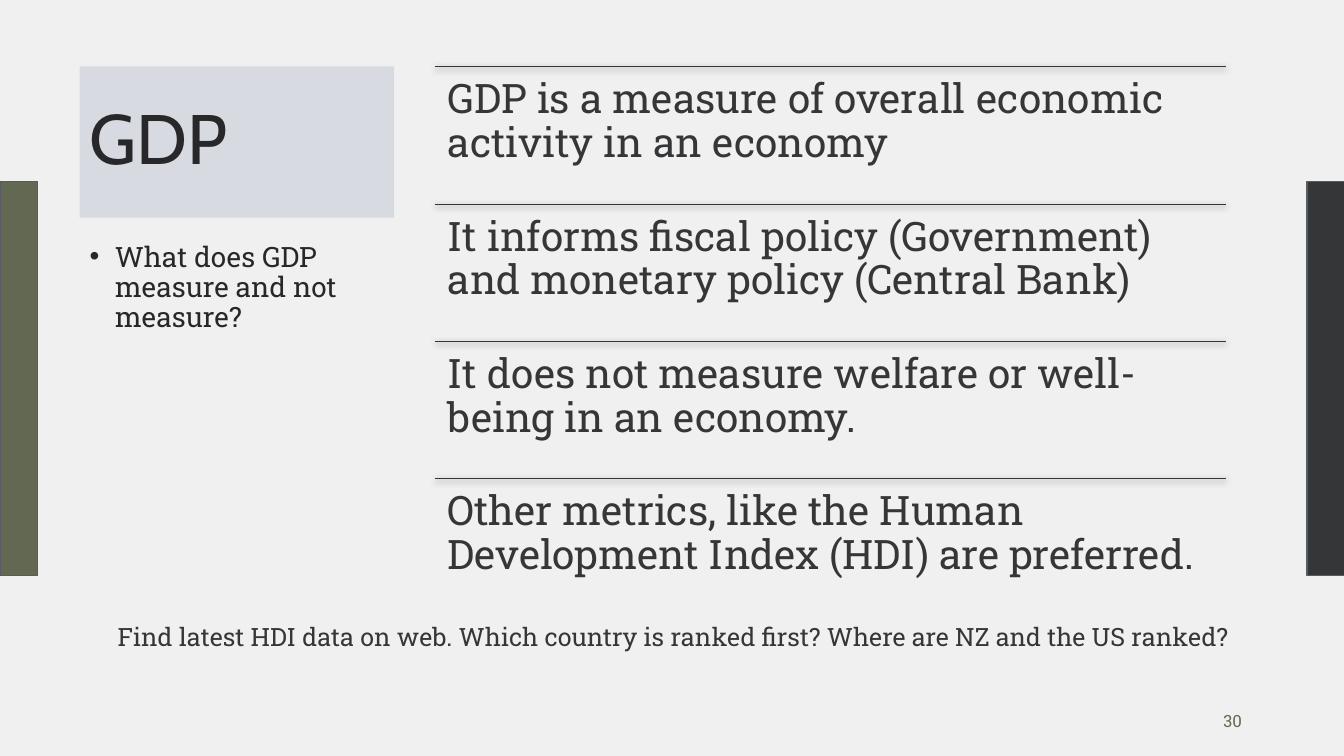
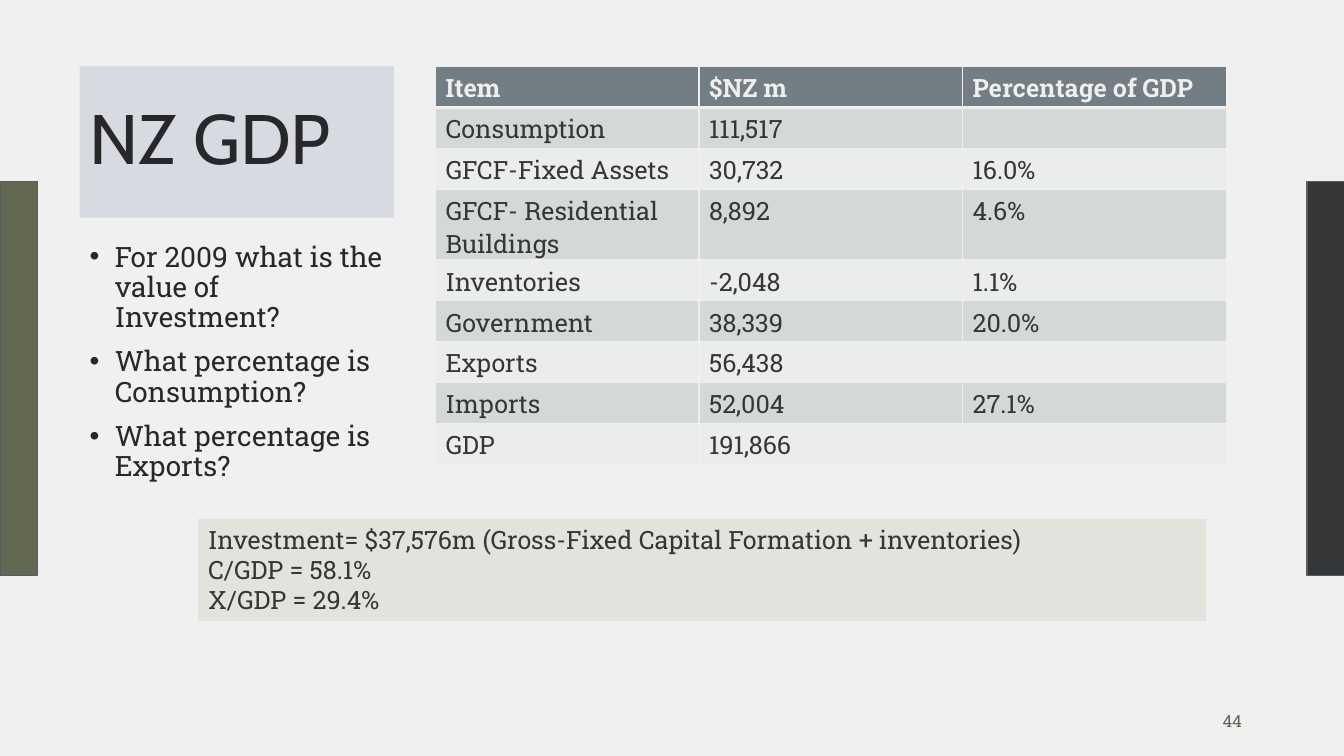
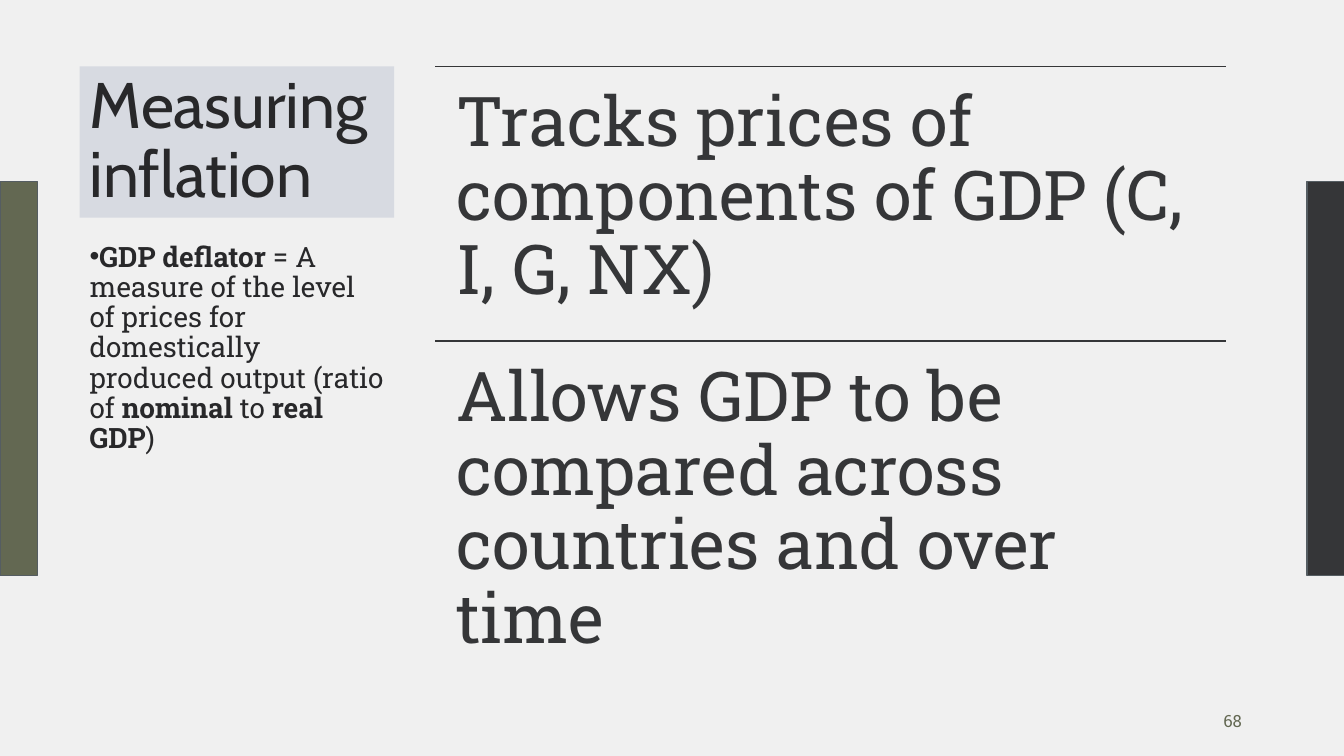
from lxml import etree
from pptx import Presentation
from pptx.dml.color import RGBColor
from pptx.enum import shapes, text
from pptx.oxml import ns
from pptx.util import Pt

SLAB, CABIN = "Roboto Slab", "Cabin"
BACK, INK, TITLE_INK, OLIVE = "F0F0F0", "353638", "28282A", "636852"
TITLE_FILL, BAND_LINE, NOTE_FILL = "D7DAE1", "555D62", "E1E3DC"
HEAD_FILL, ROW_FILLS, GRID = "737E84", ("EBECED", "D5D8D9"), "EFEFEF"
SIDE_X, SIDE_W = 56.88, 224.64
MAIN_X, MAIN_W = 311.04, 564.8
TOP, MAIN_H = 47.52, 392.4

NZ_GDP = [
    ("Item", "$NZ m", "Percentage of GDP"),
    ("Consumption", "111,517", ""),
    ("GFCF-Fixed Assets", "30,732", "16.0%"),
    ("GFCF- Residential Buildings", "8,892", "4.6%"),
    ("Inventories", "-2,048", "1.1%"),
    ("Government", "38,339", "20.0%"),
    ("Exports", "56,438", ""),
    ("Imports", "52,004", "27.1%"),
    ("GDP", "191,866", ""),
]


def rgb(value):
    return RGBColor.from_string(value)


def sub(parent, tag, **attrs):
    node = etree.SubElement(parent, ns.qn(tag))
    for name, value in attrs.items():
        node.set(name, str(value))
    return node


def add_run(p, words, size, color=INK, font=SLAB, bold=False):
    r = p.add_run()
    r.text = words
    r.font.name, r.font.size, r.font.bold = font, Pt(size), bold
    r.font.color.rgb = rgb(color)


def add_bullet(p, margin):
    pPr = p._p.get_or_add_pPr()
    pPr.set("marL", str(Pt(margin)))
    pPr.set("indent", str(Pt(-18)))
    sub(pPr, "a:buFont", typeface="Arial")
    sub(pPr, "a:buChar", char="•")


def add_text(s, box, paragraphs, size, color=INK, font=SLAB, fill=None, spacing=None,
             before=0, margin=None, inset=None, middle=False, right=False, grow=False):
    sp = s.shapes.add_textbox(*map(Pt, box))
    if fill:
        sp.fill.solid()
        sp.fill.fore_color.rgb = rgb(fill)
    tf = sp.text_frame
    tf.word_wrap = True
    if grow:
        tf.auto_size = text.MSO_AUTO_SIZE.SHAPE_TO_FIT_TEXT
    if middle:
        tf.vertical_anchor = text.MSO_ANCHOR.MIDDLE
    if inset:
        tf.margin_left = tf.margin_right = tf.margin_top = tf.margin_bottom = Pt(inset)
    for i, runs in enumerate(paragraphs):
        p = tf.add_paragraph() if i else tf.paragraphs[0]
        if margin is not None:
            add_bullet(p, margin)
        if spacing:
            p.line_spacing = spacing
        if i and before:
            p.space_before = Pt(before)
        if right:
            p.alignment = text.PP_ALIGN.RIGHT
        for words, bold in runs:
            add_run(p, words, size, color, font, bold)


def plain(*lines):
    return [[(line, False)] for line in lines]


def add_band(s, x, fill):
    sp = s.shapes.add_shape(shapes.MSO_SHAPE.RECTANGLE, Pt(x), Pt(129.6), Pt(26.8), Pt(281.3))
    sp.shadow.inherit = False
    sp.fill.solid()
    sp.fill.fore_color.rgb = rgb(fill)
    sp.line.color.rgb = rgb(BAND_LINE)
    sp.line.width = Pt(1)


def add_rule(s, y, width, shadow):
    line = s.shapes.add_connector(shapes.MSO_CONNECTOR.STRAIGHT, Pt(MAIN_X), Pt(y),
                                  Pt(MAIN_X + MAIN_W), Pt(y))
    line.line.color.rgb = rgb(INK)
    line.line.width = Pt(width)
    effects = sub(line._element.spPr, "a:effectLst")
    if shadow:
        outer = sub(effects, "a:outerShdw", blurRad=Pt(4.5), dist=Pt(1.5), dir=5400000,
                    algn="ctr", rotWithShape=0)
        sub(sub(outer, "a:srgbClr", val="000000"), "a:alpha", val=63000)


def add_statements(s, statements, size, inset, width, shadow=False):
    step = MAIN_H / len(statements)
    for i, statement in enumerate(statements):
        y = round(TOP + i * step, 2)
        add_rule(s, y, width, shadow)
        add_text(s, (MAIN_X, y, MAIN_W, step), plain(statement), size, spacing=0.9, inset=inset)


def add_side_points(s, paragraphs, margin=18):
    add_text(s, (SIDE_X, 169.92, SIDE_W, 270), paragraphs, 20, TITLE_INK,
             spacing=0.9, before=10, margin=margin)


def set_borders(cell, row):
    tcPr = cell._tc.get_or_add_tcPr()
    for side in "LRTB":
        thick = (side, row) in (("B", 0), ("T", 1))
        ln = sub(tcPr, f"a:ln{side}", w=Pt(3 if thick else 1))
        sub(sub(ln, "a:solidFill"), "a:srgbClr", val=GRID)


def add_data_table(s, rows):
    columns = len(rows[0])
    table = s.shapes.add_table(len(rows), columns, Pt(MAIN_X), Pt(TOP), Pt(MAIN_W),
                               Pt(29.2 * len(rows))).table
    for column in table.columns:
        column.width = Pt(MAIN_W / columns)
    for i, row in enumerate(rows):
        table.rows[i].height = Pt(29.2)
        for j, words in enumerate(row):
            cell = table.cell(i, j)
            set_borders(cell, i)
            cell.fill.solid()
            cell.fill.fore_color.rgb = rgb(ROW_FILLS[i % 2] if i else HEAD_FILL)
            if words:
                add_run(cell.text_frame.paragraphs[0], words, 18, INK if i else GRID, bold=i == 0)


def add_slide(prs, title, number, title_size=50):
    s = prs.slides.add_slide(prs.slide_layouts[6])
    s.background.fill.solid()
    s.background.fill.fore_color.rgb = rgb(BACK)
    add_band(s, 933.5, INK)
    add_band(s, 0, OLIVE)
    add_text(s, (SIDE_X, TOP, SIDE_W, 108), plain(title), title_size, TITLE_INK, CABIN,
             fill=TITLE_FILL, spacing=0.9, middle=True)
    add_text(s, (678.24, 500.4, 216, 28.8), plain(number), 12, OLIVE, middle=True, right=True)
    return s


def main():
    prs = Presentation()
    prs.slide_width, prs.slide_height = Pt(960), Pt(540)

    s = add_slide(prs, "GDP", "30")
    add_side_points(s, plain("What does GDP measure and not measure?"))
    add_statements(s, [
        "GDP is a measure of overall economic activity in an economy",
        "It informs fiscal policy (Government) and monetary policy (Central Bank)",
        "It does not measure welfare or well-being in an economy.",
        "Other metrics, like the Human Development Index (HDI) are preferred.",
    ], 29, 8.7, 0.5, shadow=True)
    add_text(s, (77.04, 439.92, 840.24, 29), plain(
        "Find latest HDI data on web. Which country is ranked first? "
        "Where are NZ and the US ranked?"), 18, grow=True)

    s = add_slide(prs, "NZ GDP", "44")
    add_data_table(s, NZ_GDP)
    add_side_points(s, plain("For 2009 what is the value of Investment?",
                             "What percentage is Consumption?",
                             "What percentage is Exports?"))
    add_text(s, (141.6, 370.8, 720, 72.7), plain(
        "Investment= $37,576m (Gross-Fixed Capital Formation + inventories)",
        "C/GDP = 58.1%", "X/GDP = 29.4%"), 18, fill=NOTE_FILL, grow=True)

    s = add_slide(prs, "Measuring inflation", "68", 46)
    add_side_points(s, [[
        ("GDP deflator ", True),
        ("= A measure of the level of prices for domestically produced output (ratio of ", False),
        ("nominal", True), (" to ", False), ("real GDP", True), (")", False),
    ]], margin=0)
    add_statements(s, [
        "Tracks prices of components of GDP (C, I, G, NX)",
        "Allows GDP to be compared across countries and over time",
    ], 49, 14.7, 1)

    prs.save("out.pptx")


if __name__ == "__main__":
    main()
